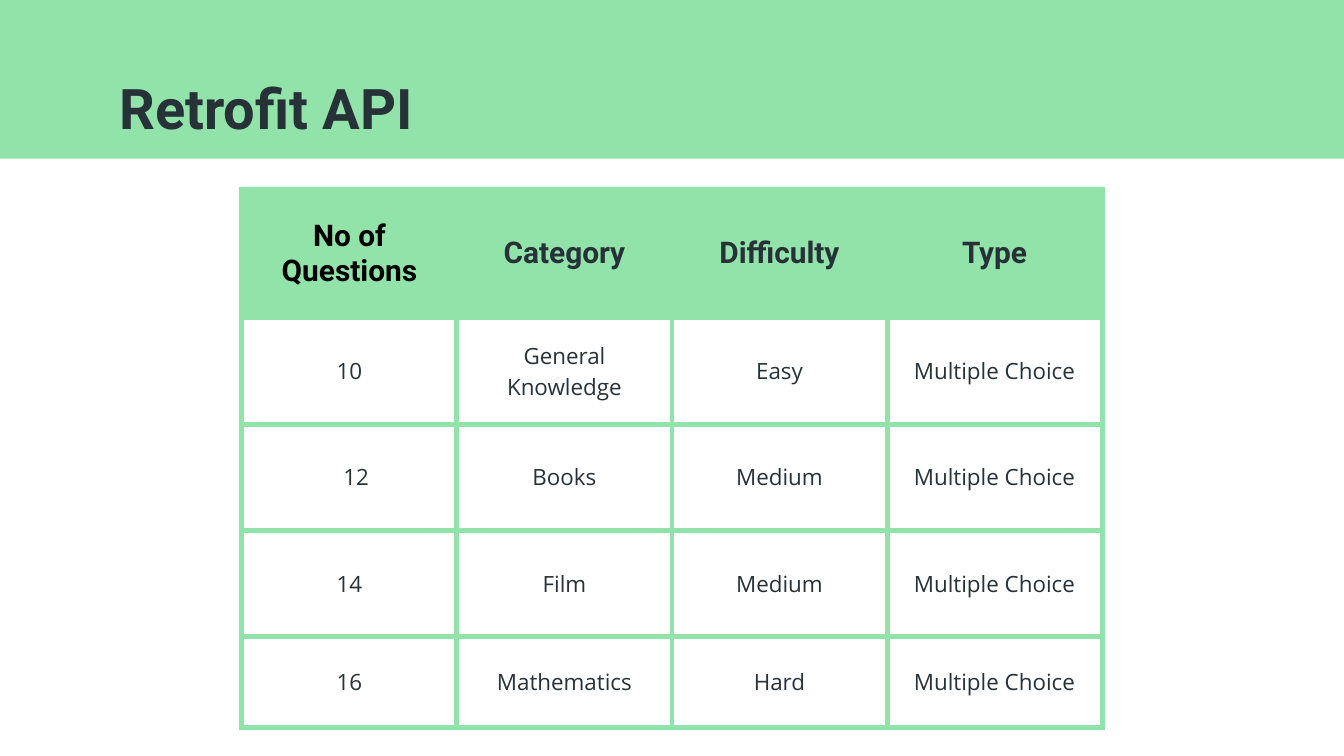
from dataclasses import dataclass

from lxml import etree
from pptx import Presentation, util as u
from pptx.dml.color import RGBColor
from pptx.enum import shapes, text
from pptx.oxml.ns import qn


@dataclass(frozen=True)
class Theme:
    """Colours, fonts and sizes of the slide."""
    green: str = "92E3A9"
    ink: str = "263238"
    black: str = "000000"
    heading_font: str = "Roboto"
    body_font: str = "Open Sans"
    title_size: int = 30
    header_size: int = 16
    body_size: int = 12
    border: int = 3
    inset: float = 0.1


THEME = Theme()
WIDTH = 10
HEIGHT = WIDTH * 9 / 16
COLUMN_WIDTH = 1.6
ROW_HEIGHTS = [0.96, 0.79, 0.79, 0.79, 0.68]
QUIZ_OPTIONS = [
    ("No of Questions", "Category", "Difficulty", "Type"),
    ("10", "General Knowledge", "Easy", "Multiple Choice"),
    ("12", "Books", "Medium", "Multiple Choice"),
    ("14", "Film", "Medium", "Multiple Choice"),
    ("16", "Mathematics", "Hard", "Multiple Choice"),
]


def set_type(paragraph, face, size, color, bold, align):
    """Format a whole paragraph."""
    paragraph.alignment = align
    font = paragraph.font
    font.name, font.size, font.bold = face, u.Pt(size), bold
    font.color.rgb = RGBColor.from_string(color)


def set_insets(holder):
    """Give a cell or text frame equal insets."""
    holder.margin_left = holder.margin_right = u.Inches(THEME.inset)
    holder.margin_top = holder.margin_bottom = u.Inches(THEME.inset)


def add_borders(cell):
    """Draw a solid line on each side of a cell."""
    properties = cell._tc.get_or_add_tcPr()
    for side in "LRTB":
        line = etree.SubElement(properties, qn(f"a:ln{side}"), w=str(u.Pt(THEME.border)))
        fill = etree.SubElement(line, qn("a:solidFill"))
        etree.SubElement(fill, qn("a:srgbClr"), val=THEME.green)


def add_header(slide, left, top, width, height):
    """Place the colour band and the slide title on it."""
    band = slide.shapes.add_shape(shapes.MSO_SHAPE.RECTANGLE, *map(u.Inches, (left, top, width, height)))
    band.shadow.inherit = False
    band.fill.solid()
    band.fill.fore_color.rgb = RGBColor.from_string(THEME.green)
    band.line.fill.background()

    title = slide.shapes.title
    title._element.addprevious(band._element)
    title.left, title.top = u.Inches(left + width * 0.079), u.Inches(top + height * 0.41)
    title.width, title.height = u.Inches(width * 0.843), u.Inches(height * 0.53)
    frame = title.text_frame
    frame.text = "Retrofit API"
    frame.auto_size = text.MSO_AUTO_SIZE.NONE
    frame.vertical_anchor = text.MSO_ANCHOR.MIDDLE
    set_insets(frame)
    set_type(frame.paragraphs[0], THEME.heading_font, THEME.title_size, THEME.ink, True, text.PP_ALIGN.LEFT)


def fill_cell(cell, wording, is_header, color):
    """Write and format one table cell."""
    cell.text = wording
    cell.vertical_anchor = text.MSO_ANCHOR.MIDDLE
    set_insets(cell)
    add_borders(cell)
    if is_header:
        cell.fill.solid()
        cell.fill.fore_color.rgb = RGBColor.from_string(THEME.green)
        face, size = THEME.heading_font, THEME.header_size
    else:
        cell.fill.background()
        face, size = THEME.body_font, THEME.body_size
    set_type(cell.text_frame.paragraphs[0], face, size, color, is_header, text.PP_ALIGN.CENTER)


def add_options_table(slide, left, top, width, height):
    """Place the table of quiz options in the given box."""
    columns = len(QUIZ_OPTIONS[0])
    box = map(u.Inches, (left, top, width, height))
    table = slide.shapes.add_table(len(QUIZ_OPTIONS), columns, *box).table
    table.horz_banding = False
    for column in table.columns:
        column.width = u.Inches(width / columns)
    for row, share in zip(table.rows, ROW_HEIGHTS):
        row.height = u.Inches(height * share / sum(ROW_HEIGHTS))
    for r, options in enumerate(QUIZ_OPTIONS):
        for c, wording in enumerate(options):
            color = THEME.black if r == c == 0 else THEME.ink
            fill_cell(table.cell(r, c), wording, r == 0, color)
    table.cell(2, 0).margin_right = 0


def main():
    """Build and save the slide."""
    deck = Presentation()
    deck.slide_width, deck.slide_height = u.Inches(WIDTH), u.Inches(HEIGHT)
    slide = deck.slides.add_slide(deck.slide_layouts[5])
    add_header(slide, 0, 0, WIDTH, HEIGHT * 0.21)
    table_width = COLUMN_WIDTH * len(QUIZ_OPTIONS[0])
    add_options_table(slide, (WIDTH - table_width) / 2, HEIGHT * 0.25, table_width, sum(ROW_HEIGHTS))
    deck.save("out.pptx")


if __name__ == "__main__":
    main()
